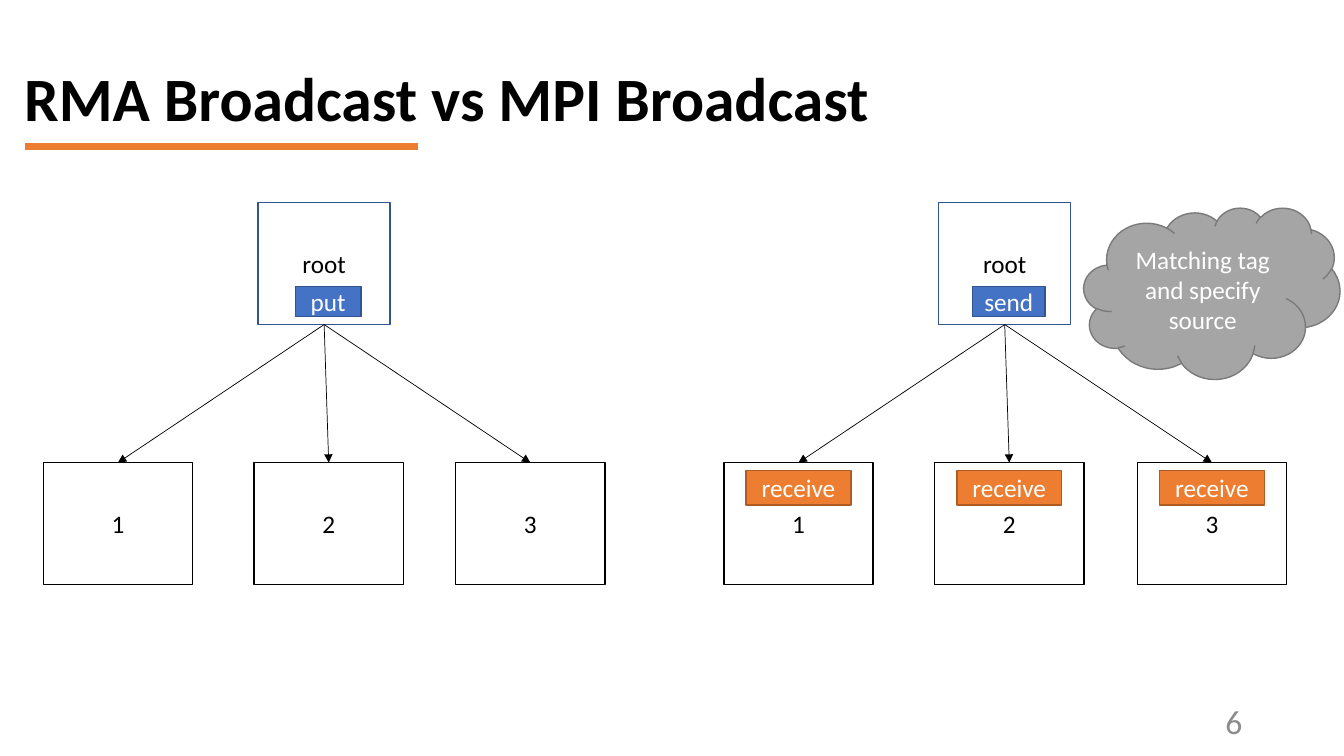
import pptx
import pptx.util
import pptx.dml.color
import pptx.enum.shapes
import pptx.enum.text
import pptx.oxml
import pptx.oxml.ns

Inches, Pt = pptx.util.Inches, pptx.util.Pt
SHAPE = pptx.enum.shapes.MSO_SHAPE
ALIGN = pptx.enum.text.PP_ALIGN
FONT = "Calibri"
COLORS = {
    "black": "000000", "white": "FFFFFF", "gray": "8C8C8C",
    "blue": "4472C4", "blue edge": "325491",
    "orange": "ED7D31", "orange edge": "AF5C24",
    "cloud": "A5A5A5", "cloud edge": "7A7A7A",
}


def color(name):
    return pptx.dml.color.RGBColor.from_string(COLORS[name])


def write(frame, text, size, ink, align, bold=False):
    frame.text = text
    frame.word_wrap = True
    frame.vertical_anchor = pptx.enum.text.MSO_ANCHOR.MIDDLE
    para = frame.paragraphs[0]
    para.alignment = align
    para.font.name, para.font.size, para.font.bold = FONT, Pt(size), bold
    para.font.color.rgb = color(ink)
    return para


def add_block(page, box, text, fill, edge, ink="white", kind=SHAPE.RECTANGLE):
    block = page.shapes.add_shape(kind, *map(Inches, box))
    block.shadow.inherit = False
    block.fill.solid()
    block.fill.fore_color.rgb = color(fill)
    block.line.color.rgb = color(edge)
    block.line.width = Pt(1)
    write(block.text_frame, text, 18, ink, ALIGN.CENTER)
    return block


def add_line(page, start, end, ink, width, arrow=False):
    line = page.shapes.add_connector(
        pptx.enum.shapes.MSO_CONNECTOR.STRAIGHT, *map(Inches, start + end))
    line.line.color.rgb = color(ink)
    line.line.width = Pt(width)
    if arrow:
        head = pptx.oxml.ns.qn("a:tailEnd")
        line.line._get_or_add_ln().makeelement(head)
        tail = line.line._get_or_add_ln()
        tail.append(tail.makeelement(head, {"type": "triangle"}))
    properties = line._element.spPr
    properties.append(properties.makeelement(pptx.oxml.ns.qn("a:effectLst")))
    return line


def add_heading(page, box):
    left, top, width, height = box
    title = page.shapes.title
    title.left, title.top, title.width, title.height = map(Inches, box)
    para = write(title.text_frame, "RMA Broadcast vs MPI Broadcast", 44, "black",
                 ALIGN.LEFT, bold=True)
    para.line_spacing = 0.9
    # Accent rule under the title
    rule_left, rule_top = left + 0.11, top + 1.17
    add_line(page, (rule_left, rule_top), (rule_left + 3.9, rule_top), "orange", 5)


def add_broadcast_tree(page, box, action, action_width, reply=None):
    left, top, width, height = box
    node_width, node_height = 1.48, 1.21
    root_left, root_width = left + 2.13, 1.31
    root_center, root_bottom = root_left + root_width / 2, top + node_height
    leaf_top = top + height - node_height

    # Root process and its operation
    add_block(page, (root_left, top, root_width, node_height), "root",
              "white", "blue edge", "black")
    add_block(page, (root_center + 0.04 - action_width / 2, top + 0.83, action_width, 0.3),
              action, "blue", "blue edge")

    # Receiving processes, each with an arrow from the root
    for number, offset in enumerate((0, 2.09, width - node_width), start=1):
        leaf_left = left + offset
        leaf_center = leaf_left + node_width / 2
        add_block(page, (leaf_left, leaf_top, node_width, node_height), str(number),
                  "white", "black", "black")
        add_line(page, (root_center, root_bottom), (leaf_center, leaf_top),
                 "black", 0.5, arrow=True)
        if reply:
            add_block(page, (leaf_center - 0.52, leaf_top + 0.08, 1.04, 0.34),
                      reply, "orange", "orange edge")


def add_page_number(page, box):
    number = page.shapes.add_textbox(*map(Inches, box))
    write(number.text_frame, "6", 24, "gray", ALIGN.RIGHT)


def main():
    deck = pptx.Presentation()
    deck.slide_width, deck.slide_height = Inches(13.33), Inches(7.5)
    page = deck.slides.add_slide(deck.slide_layouts[5])

    add_heading(page, (0.14, 0.28, 11.5, 1.45))
    add_broadcast_tree(page, (0.43, 2.01, 5.57, 3.79), "put", 0.65)
    add_broadcast_tree(page, (7.18, 2.01, 5.58, 3.79), "send", 0.72, "receive")
    add_block(page, (10.75, 2.06, 2.54, 1.7), "Matching tag and specify source",
              "cloud", "cloud edge", kind=SHAPE.CLOUD)
    add_page_number(page, (9.42, 6.95, 3, 0.4))

    deck.save("out.pptx")


if __name__ == "__main__":
    main()
